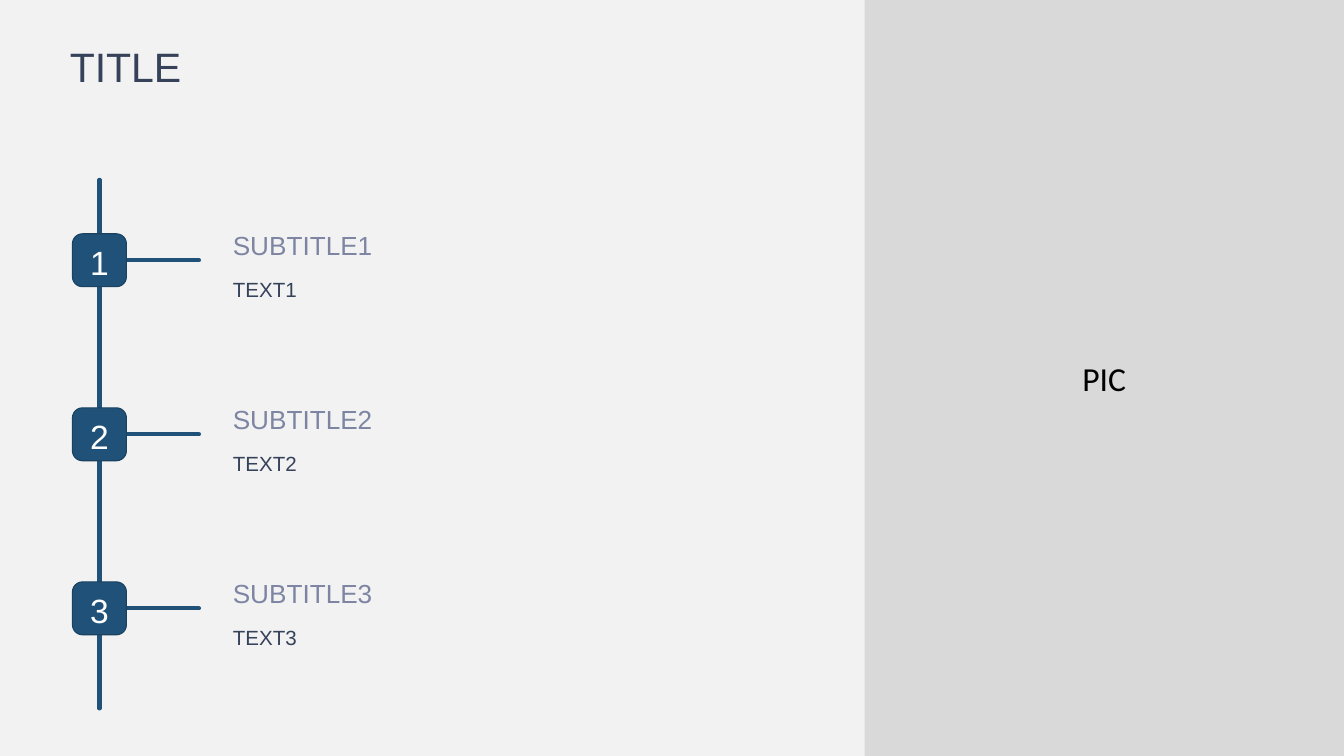
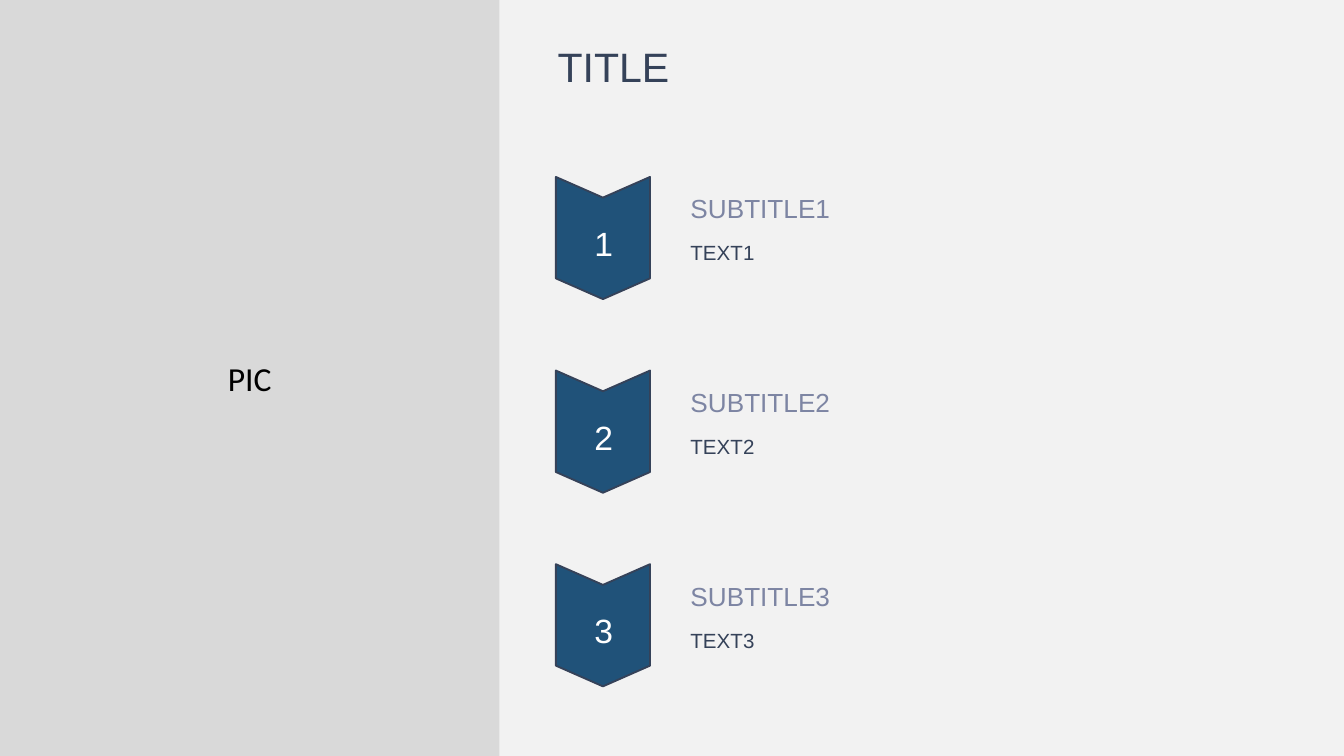
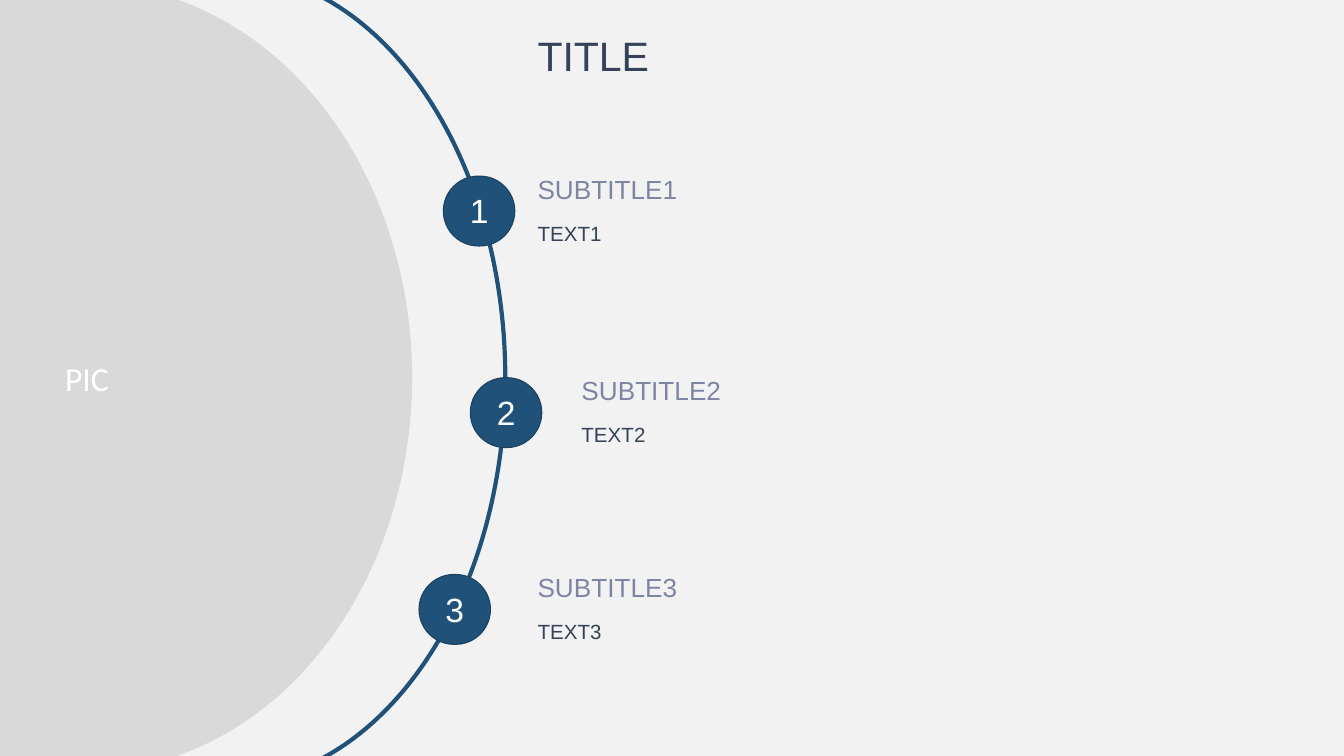
from dataclasses import dataclass
from typing import Optional

from lxml import etree
from pptx import Presentation
from pptx.dml.color import RGBColor
from pptx.enum.shapes import MSO_CONNECTOR, MSO_SHAPE
from pptx.enum.text import MSO_ANCHOR, MSO_AUTO_SIZE, PP_ALIGN
from pptx.oxml.ns import qn
from pptx.util import Cm, Pt

ROUNDED, CHEVRON, ELLIPSE = (
    MSO_SHAPE.ROUNDED_RECTANGLE, MSO_SHAPE.CHEVRON, MSO_SHAPE.OVAL)
STRAIGHT = MSO_CONNECTOR.STRAIGHT
TOP, MIDDLE, BOTTOM = MSO_ANCHOR.TOP, MSO_ANCHOR.MIDDLE, MSO_ANCHOR.BOTTOM
LEFT, CENTER = PP_ALIGN.LEFT, PP_ALIGN.CENTER
FIT_SHAPE = MSO_AUTO_SIZE.SHAPE_TO_FIT_TEXT
RIGHT_SIDE = 3

PAGE_WIDTH, PAGE_HEIGHT = 25.4, 14.29
PAPER, PANEL, ACCENT, ACCENT_EDGE = "F2F2F2", "D9D9D9", "205279", "1A4260"
INK, MUTED, WHITE, BLACK = "354259", "7D85A3", "FFFFFF", "000000"
STROKE = 2.25
NUMBER_HEIGHT = 1.02


@dataclass(frozen=True)
class Frame:
    """Position and size in centimetres."""
    left: float
    top: float
    width: float
    height: float

    def lengths(self) -> tuple:
        return Cm(self.left), Cm(self.top), Cm(self.width), Cm(self.height)


@dataclass(frozen=True)
class TextStyle:
    size: float
    color: str
    font: str = "Arial"
    align: PP_ALIGN = LEFT
    anchor: MSO_ANCHOR = TOP


@dataclass(frozen=True)
class Look:
    """Fill and outline of a shape; None leaves either out."""
    fill: Optional[str]
    line: Optional[str] = None
    line_width: float = 0


TITLE = TextStyle(22, INK)
SUBTITLE = TextStyle(14, MUTED, anchor=BOTTOM)
BODY = TextStyle(11, INK)
NUMBER = TextStyle(18, WHITE, align=CENTER)
PIC_DARK = TextStyle(18, BLACK, "Calibri", CENTER, MIDDLE)
PIC_LIGHT = TextStyle(18, WHITE, "Calibri", CENTER, MIDDLE)

MARKER = Look(ACCENT, ACCENT_EDGE, 0.6)
RIBBON = Look(ACCENT, INK, 1)
RING = Look(None, ACCENT, STROKE)
PICTURE_AREA = Look(PANEL)


def rgb(color: str) -> RGBColor:
    return RGBColor.from_string(color)


def write(shape, text: str, style: TextStyle) -> None:
    frame = shape.text_frame
    frame.word_wrap = True
    frame.vertical_anchor = style.anchor
    frame.text = text
    para = frame.paragraphs[0]
    para.alignment = style.align
    font = para.runs[0].font
    font.name, font.size = style.font, Pt(style.size)
    font.color.rgb = rgb(style.color)


def add_text(shapes, frame: Frame, text: str, style: TextStyle):
    box = shapes.add_textbox(*frame.lengths())
    write(box, text, style)
    return box


def add_number(shapes, frame: Frame, number: int) -> None:
    add_text(shapes, frame, str(number), NUMBER).text_frame.auto_size = FIT_SHAPE


def add_figure(shapes, kind, frame: Frame, look: Look,
               adjust: Optional[float] = None):
    shape = shapes.add_shape(kind, *frame.lengths())
    shape.shadow.inherit = False
    if adjust is not None:
        shape.adjustments[0] = adjust
    if look.fill:
        shape.fill.solid()
        shape.fill.fore_color.rgb = rgb(look.fill)
    else:
        shape.fill.background()
    if look.line:
        shape.line.color.rgb = rgb(look.line)
        shape.line.width = Pt(look.line_width)
    else:
        shape.line.fill.background()
    return shape


def add_line(shapes, x1: float, y1: float, x2: float, y2: float):
    """Draw an accent line with round ends."""
    line = shapes.add_connector(STRAIGHT, Cm(x1), Cm(y1), Cm(x2), Cm(y2))
    line.line.color.rgb = rgb(ACCENT)
    line.line.width = Pt(STROKE)
    properties = line._element.spPr
    properties.find(qn("a:ln")).set("cap", "rnd")
    etree.SubElement(properties, qn("a:effectLst"))
    return line


def add_page(deck):
    page = deck.slides.add_slide(deck.slide_layouts[6])
    page.background.fill.solid()
    page.background.fill.fore_color.rgb = rgb(PAPER)
    return page.shapes


def add_title(shapes, left: float, top: float) -> None:
    add_text(shapes, Frame(left, top, 14.02, 2.16), "TITLE", TITLE)


def add_step_text(shapes, number: int, left: float, top: float,
                  width: float) -> None:
    add_text(shapes, Frame(left, top, width, 1.52), f"SUBTITLE{number}", SUBTITLE)
    add_text(shapes, Frame(left, top + 1.58, width, 1.42), f"TEXT{number}", BODY)


def add_picture_panel(shapes, left: float, width: float) -> None:
    panel = add_figure(shapes, ROUNDED, Frame(left, 0, width, PAGE_HEIGHT),
                       PICTURE_AREA, 0)
    write(panel, "PIC", PIC_DARK)


def build_timeline(deck) -> None:
    shapes = add_page(deck)
    left, first_top, pitch, width, height = 1.37, 4.42, 3.29, 1.02, 1.0
    axis = left + width / 2
    add_line(shapes, axis, 13.39, axis, 3.4)
    for index in range(3):
        number, top = index + 1, first_top + index * pitch
        middle = top + height / 2
        branch = add_line(shapes, left + width, middle, 3.76, middle)
        marker = add_figure(shapes, ROUNDED, Frame(left, top, width, height),
                            MARKER, 0.19)
        branch.begin_connect(marker, RIGHT_SIDE)
        add_number(shapes, Frame(left, top + 0.03, width, NUMBER_HEIGHT), number)
        add_step_text(shapes, number, 4.15, top - 0.89, 11.86)
    add_title(shapes, 1.07, 0.66)
    add_picture_panel(shapes, 16.34, PAGE_WIDTH - 16.34)


def build_ribbons(deck) -> None:
    shapes = add_page(deck)
    first_top, pitch = 3.61, 3.66
    add_title(shapes, 10.29, 0.66)
    add_picture_panel(shapes, 0, 9.44)
    for index in range(3):
        number, top = index + 1, first_top + index * pitch
        ribbon = add_figure(shapes, CHEVRON, Frame(10.24, top, 2.31, 1.78),
                            RIBBON, 0.22)
        ribbon.rotation = 90
        add_number(shapes, Frame(10.9, top + 0.48, 1.02, NUMBER_HEIGHT), number)
        add_step_text(shapes, number, 12.8, top - 0.77, 11.86)


def build_orbit(deck) -> None:
    shapes = add_page(deck)
    text_right = 23.93
    stops = [(8.38, 3.33, 9.91), (8.89, 7.14, 10.74), (7.92, 10.86, 9.91)]
    add_figure(shapes, ELLIPSE, Frame(-1.04, -0.53, 10.59, 15.34), RING)
    picture = add_figure(shapes, ELLIPSE, Frame(-4.5, -0.3, 12.29, 14.88),
                         PICTURE_AREA)
    write(picture, "PIC", PIC_LIGHT)
    for number, (left, top, text_left) in enumerate(stops, start=1):
        badge = shapes.add_group_shape().shapes
        add_figure(badge, ROUNDED, Frame(left, top, 1.35, 1.32), MARKER, 0.5)
        add_number(badge, Frame(left, top + 0.14, 1.35, NUMBER_HEIGHT), number)
        add_step_text(shapes, number, text_left, top - 0.86,
                      text_right - text_left)
    add_title(shapes, 9.91, 0.46)


def main() -> None:
    deck = Presentation()
    deck.slide_width, deck.slide_height = Cm(PAGE_WIDTH), Cm(PAGE_HEIGHT)
    build_timeline(deck)
    build_ribbons(deck)
    build_orbit(deck)
    deck.save("out.pptx")


if __name__ == "__main__":
    main()
